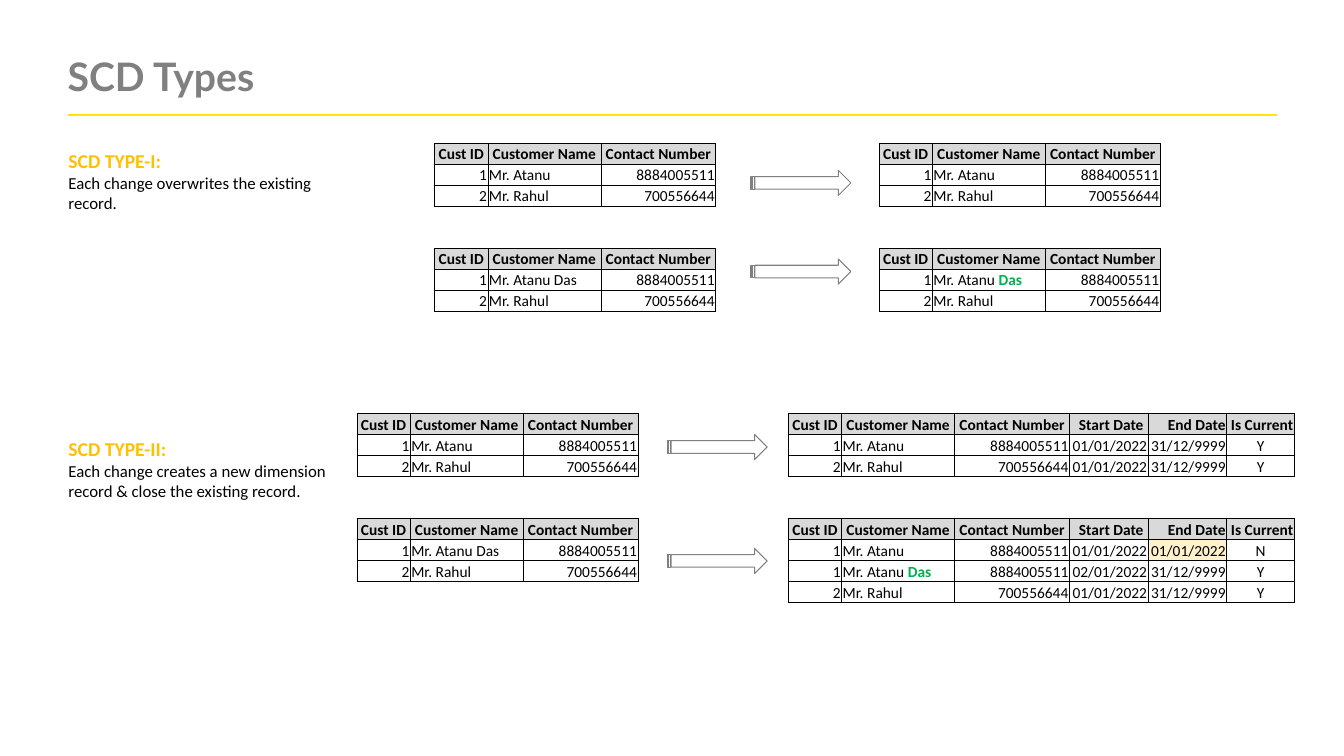
from lxml.etree import SubElement
from pptx import Presentation
from pptx.dml.color import RGBColor
from pptx.enum.shapes import MSO_CONNECTOR, MSO_SHAPE
from pptx.enum.text import MSO_ANCHOR, PP_ALIGN
from pptx.oxml.ns import qn
from pptx.util import Inches, Pt

HUE = {"ink": "000000", "gray": "808080", "head": "D9D9D9", "rule": "FFE600",
       "gold": "FFC000", "green": "00B050", "closed": "FFF2CC"}
WIDE, HIGH = Inches(13.33), Inches(7.5)
PLAIN = "{2D5ABB26-0587-4C30-8999-92F81FD0307C}"

# Lengths are percentages of the slide's width or height.
COLS = [3.98, 8.4, 8.55, 5.85, 5.85, 5.03]
ROW = 2.78
LEFT, MID, RIGHT = PP_ALIGN.LEFT, PP_ALIGN.CENTER, PP_ALIGN.RIGHT
HEAD_SIDE = [MID, MID, MID, RIGHT, RIGHT, RIGHT]
BODY_SIDE = [RIGHT, LEFT, RIGHT, RIGHT, RIGHT, MID]

HEAD = ["Cust ID", "Customer Name", "Contact Number"]
DATED = HEAD + ["Start Date ", "End Date", "Is Current"]
ATANU = ["1", "Mr. Atanu", "8884005511"]
DAS = ["1", "Mr. Atanu Das", "8884005511"]
MARKED = ["1", "Mr. Atanu *Das", "8884005511"]  # the star starts the new part
RAHUL = ["2", "Mr. Rahul", "700556644"]
FIRST, SECOND, OPEN = "01/01/2022", "02/01/2022", "31/12/9999"
LIVE = [FIRST, OPEN, "Y"]


def across(share):
    return round(WIDE * share / 100)


def down(share):
    return round(HIGH * share / 100)


def box(x, y, w, h):
    return across(x), down(y), across(w), down(h)


def color(name):
    return RGBColor.from_string(HUE[name])


def style(font, size, hue, bold=False, face="Calibri"):
    font.name, font.size, font.bold = face, Pt(size), bold
    font.color.rgb = color(hue)


def stack(head, before, after):
    """Two blocks of rows, with two blank rows between them."""
    blank = [""] * len(head)
    return [head, *before, blank, blank, head, *after]


def frame(cell):
    props = cell._tc.get_or_add_tcPr()
    for i, side in enumerate(("a:lnL", "a:lnR", "a:lnT", "a:lnB")):
        line = props.makeelement(qn(side), {"w": str(Pt(0.5))})
        fill = SubElement(line, qn("a:solidFill"))
        SubElement(fill, qn("a:srgbClr"), val=HUE["ink"])
        props.insert(i, line)


def fill_cell(cell, text, side, head, shade):
    cell.margin_left = cell.margin_right = cell.margin_top = Inches(0.01)
    cell.margin_bottom = 0
    cell.vertical_anchor = MSO_ANCHOR.BOTTOM
    para = cell.text_frame.paragraphs[0]
    para.alignment = side
    style(para.font, 11, "ink", head)
    if shade:
        cell.fill.solid()
        cell.fill.fore_color.rgb = color(shade)
    else:
        cell.fill.background()
    if not text:
        SubElement(para._p, qn("a:endParaRPr"), sz="1100")
        return
    old, _, new = text.partition("*")
    para.add_run().text = old
    if new:
        run = para.add_run()
        run.text = new
        style(run.font, 11, "green", True)
    frame(cell)


def add_grid(slide, x, y, rows):
    wide = COLS[:len(rows[0])]
    table = slide.shapes.add_table(
        len(rows), len(wide), *box(x, y, sum(wide), ROW * len(rows))).table
    table.first_row = table.horz_banding = False
    table._tbl.tblPr.find(qn("a:tableStyleId")).text = PLAIN
    for col, share in zip(table.columns, wide):
        col.width = across(share)
    for r, row in enumerate(rows):
        table.rows[r].height = down(ROW)
        head = row[0] == HEAD[0]
        for c, text in enumerate(row):
            ended = row[-1] == "N" and c == 4
            shade = "head" if head else "closed" if ended else None
            side = (HEAD_SIDE if head else BODY_SIDE)[c]
            fill_cell(table.cell(r, c), text, side, head, shade)


def add_arrow(slide, x, y):
    arrow = slide.shapes.add_shape(
        MSO_SHAPE.STRIPED_RIGHT_ARROW, *box(x, y, 7.43, 3.33))
    arrow.shadow.inherit = False
    arrow.fill.background()
    arrow.line.color.rgb = color("gray")
    arrow.line.width = Pt(0.75)


def add_note(slide, x, y, name, text):
    note = slide.shapes.add_textbox(*box(x, y, 20.85, 9.87)).text_frame
    note.word_wrap = True
    top, body = note.paragraphs[0], note.add_paragraph()
    top.text, body.text = name, text
    style(top.font, 14, "gold", True)
    style(body.font, 12, "ink")


def add_title(slide, x, y, w, h):
    title = slide.shapes.title
    title.left, title.top, title.width, title.height = box(x, y, w, h)
    text = title.text_frame
    text.text = "SCD Types"
    text.margin_left = text.margin_right = 0
    text.margin_top = text.margin_bottom = 0
    text.vertical_anchor = MSO_ANCHOR.TOP
    para = text.paragraphs[0]
    para.alignment, para.line_spacing = LEFT, 0.85
    style(para.font, 28, "gray", True, "Lato")
    base = down(y + h - 0.13)
    rule = slide.shapes.add_connector(
        MSO_CONNECTOR.STRAIGHT, across(x), base, across(x + w), base)
    rule.line.color.rgb = color("rule")
    rule.line.width = Pt(1.5)
    SubElement(rule._element.spPr, qn("a:effectLst"))


def add_type(slide, y, note, spots, arrows, source, target):
    """One SCD type: note, source table, arrows and target table."""
    start, mid, end = spots
    add_grid(slide, end, y, target)
    add_grid(slide, start, y, source)
    for drop in arrows:
        add_arrow(slide, mid, y + drop)
    drop, name, text = note
    add_note(slide, 4.35, y + drop, name, text)


def main():
    deck = Presentation()
    deck.slide_width, deck.slide_height = WIDE, HIGH
    slide = deck.slides.add_slide(deck.slide_layouts[5])
    add_title(slide, 5.03, 7.87, 90, 7.47)
    source = stack(HEAD, [ATANU, RAHUL], [DAS, RAHUL])
    add_type(slide, 18.93,
             (0.13, "SCD TYPE-I:", "Each change overwrites the existing record."),
             (32.33, 55.88, 65.4), (3.6, 15.33), source,
             stack(HEAD, [ATANU, RAHUL], [MARKED, RAHUL]))
    add_type(slide, 54.67,
             (2.53, "SCD TYPE-II:", "Each change creates a new dimension "
              "record & close the existing record."),
             (26.55, 49.65, 58.65), (2.8, 17.87), source,
             stack(DATED, [ATANU + LIVE, RAHUL + LIVE],
                   [ATANU + [FIRST, FIRST, "N"],
                    MARKED + [SECOND, OPEN, "Y"], RAHUL + LIVE]))
    deck.save("out.pptx")


if __name__ == "__main__":
    main()
